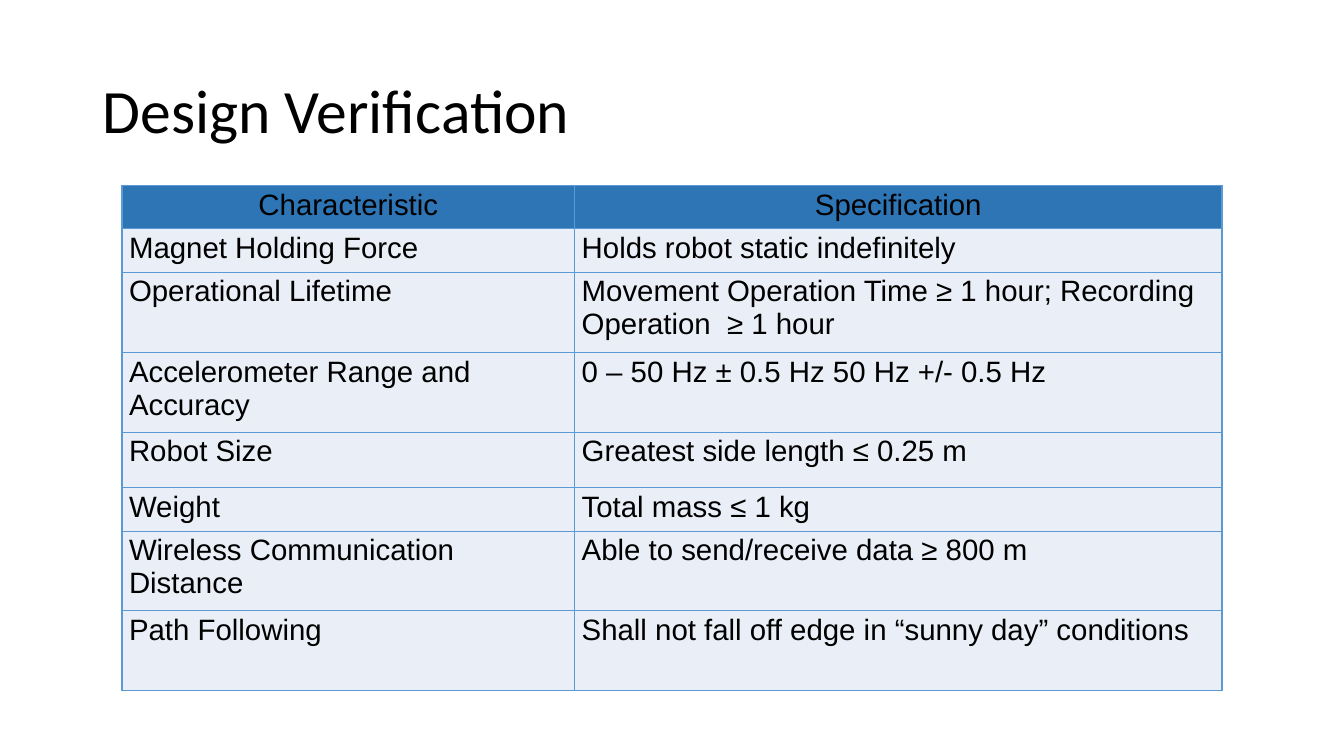
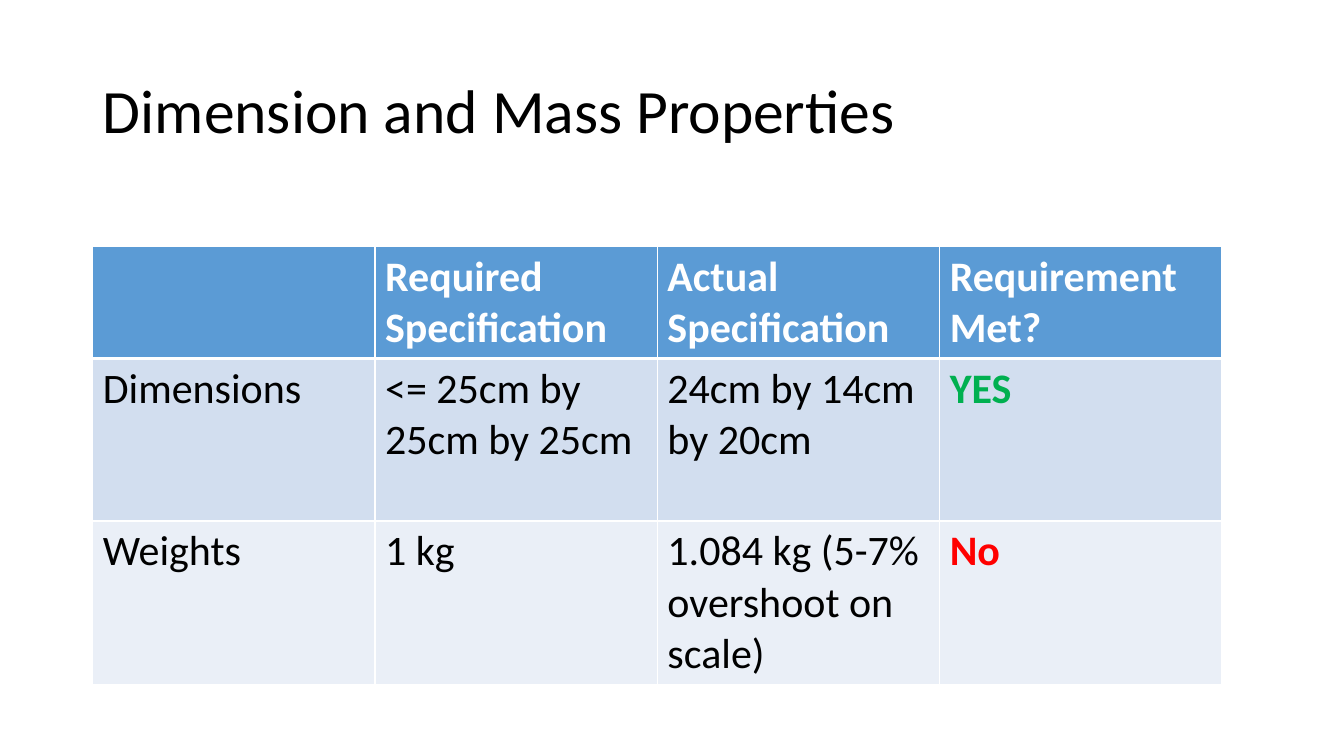
from dataclasses import dataclass

from lxml.etree import SubElement as Sub
from pptx import Presentation
from pptx.dml.color import RGBColor as Rgb
from pptx.enum.text import MSO_ANCHOR as Anchor, PP_ALIGN as Align
from pptx.oxml.ns import qn
from pptx.util import Inches as In, Pt


@dataclass(frozen=True)
class Theme:
    black: str = "000000"
    white: str = "FFFFFF"
    blue: str = "5B9BD5"
    deep: str = "2E75B6"
    mid: str = "D2DEEF"
    pale: str = "EAEFF7"
    green: str = "00B050"
    red: str = "FF0000"
    sans: str = "Calibri"
    plain: str = "Arial"
    head: int = 44


T = Theme()
WIDE, HIGH = 13.33, 7.5
TITLE = (0.92, 0.4, 11.5, 1.45)

# Content: one dict per slide
SLIDES = [
    dict(
        title="Design Verification",
        at=(1.21, 1.84),
        cols=[4.49, 6.42],
        tall=[0.43, 0.43, 0.8, 0.79, 0.55, 0.43, 0.79, 0.79],
        font=T.plain, size=21, pad=(0.07, 0.03),
        fills=[T.deep, T.pale, T.pale],
        top=dict(color=T.black, bold=False, align=Align.CENTER),
        line=T.blue, rule=1, marks={},
        rows=[
            ("Characteristic", "Specification"),
            ("Magnet Holding Force", "Holds robot static indefinitely"),
            ("Operational Lifetime",
             "Movement Operation Time ≥ 1 hour; Recording Operation  ≥ 1 hour"),
            ("Accelerometer Range and Accuracy",
             "0 – 50 Hz ± 0.5 Hz 50 Hz +/- 0.5 Hz"),
            ("Robot Size", "Greatest side length ≤ 0.25 m"),
            ("Weight", "Total mass ≤ 1 kg"),
            ("Wireless Communication Distance",
             "Able to send/receive data ≥ 800 m"),
            ("Path Following",
             "Shall not fall off edge in “sunny day” conditions"),
        ],
    ),
    dict(
        title="Dimension and Mass Properties",
        at=(0.92, 2.44),
        cols=[2.8] * 4,
        tall=[1.11, 1.61, 1.62],
        font=T.sans, size=30, pad=(0.1, 0.05),
        fills=[T.blue, T.mid, T.pale],
        top=dict(color=T.white, bold=True, align=Align.LEFT),
        line=T.white, rule=3, marks={"YES": T.green, "No": T.red},
        rows=[
            ("", "Required Specification", "Actual Specification",
             "Requirement Met?"),
            ("Dimensions", "<= 25cm by 25cm by 25cm",
             "24cm by 14cm by 20cm", "YES"),
            ("Weights", "1 kg", "1.084 kg (5-7% overshoot on scale)", "No"),
        ],
    ),
]


def add_run(para, text, font, size, color, bold=False):
    run = para.add_run()
    run.text = text
    run.font.name, run.font.size, run.font.bold = font, Pt(size), bold
    run.font.color.rgb = Rgb.from_string(color)


def add_title(slide, text):
    box = slide.shapes.title
    box.left, box.top, box.width, box.height = map(In, TITLE)
    frame = box.text_frame
    frame.word_wrap, frame.vertical_anchor = True, Anchor.MIDDLE
    para = frame.paragraphs[0]
    para.alignment, para.line_spacing = Align.LEFT, 0.9
    add_run(para, text, T.sans, T.head, T.black)


def add_edges(cell, color, widths):
    # Borders come before the fill in the cell properties
    props = cell._tc.get_or_add_tcPr()
    for spot, (side, width) in enumerate(widths.items()):
        edge = Sub(props, qn("a:ln" + side), w=str(Pt(width)))
        Sub(Sub(edge, qn("a:solidFill")), qn("a:srgbClr"), val=color)
        props.insert(spot, edge)


def fill_cell(cell, text, row, data):
    cell.fill.solid()
    shade = data["fills"][0 if row == 0 else 2 - row % 2]
    cell.fill.fore_color.rgb = Rgb.from_string(shade)
    side, edge = map(In, data["pad"])
    cell.margin_left = cell.margin_right = side
    cell.margin_top = cell.margin_bottom = edge
    rule = data["rule"]
    add_edges(cell, data["line"], {
        "L": 1, "R": 1,
        "T": rule if row == 1 else 1,
        "B": rule if row == 0 else 1,
    })
    if not text:
        return
    mark = data["marks"].get(text)
    look = data["top"] if row == 0 else dict(
        color=mark or T.black, bold=bool(mark), align=Align.LEFT)
    para = cell.text_frame.paragraphs[0]
    para.alignment = look["align"]
    add_run(para, text, data["font"], data["size"],
            look["color"], look["bold"])


def add_grid(slide, data):
    rows, cols, tall = data["rows"], data["cols"], data["tall"]
    spot = (*data["at"], sum(cols), sum(tall))
    grid = slide.shapes.add_table(len(rows), len(cols), *map(In, spot)).table
    for col, width in zip(grid.columns, cols):
        col.width = In(width)
    for y, texts in enumerate(rows):
        grid.rows[y].height = In(tall[y])
        for x, text in enumerate(texts):
            fill_cell(grid.cell(y, x), text, y, data)


def main():
    deck = Presentation()
    deck.slide_width, deck.slide_height = In(WIDE), In(HIGH)
    for data in SLIDES:
        slide = deck.slides.add_slide(deck.slide_layouts[5])
        add_title(slide, data["title"])
        add_grid(slide, data)
    deck.save("out.pptx")


if __name__ == "__main__":
    main()
